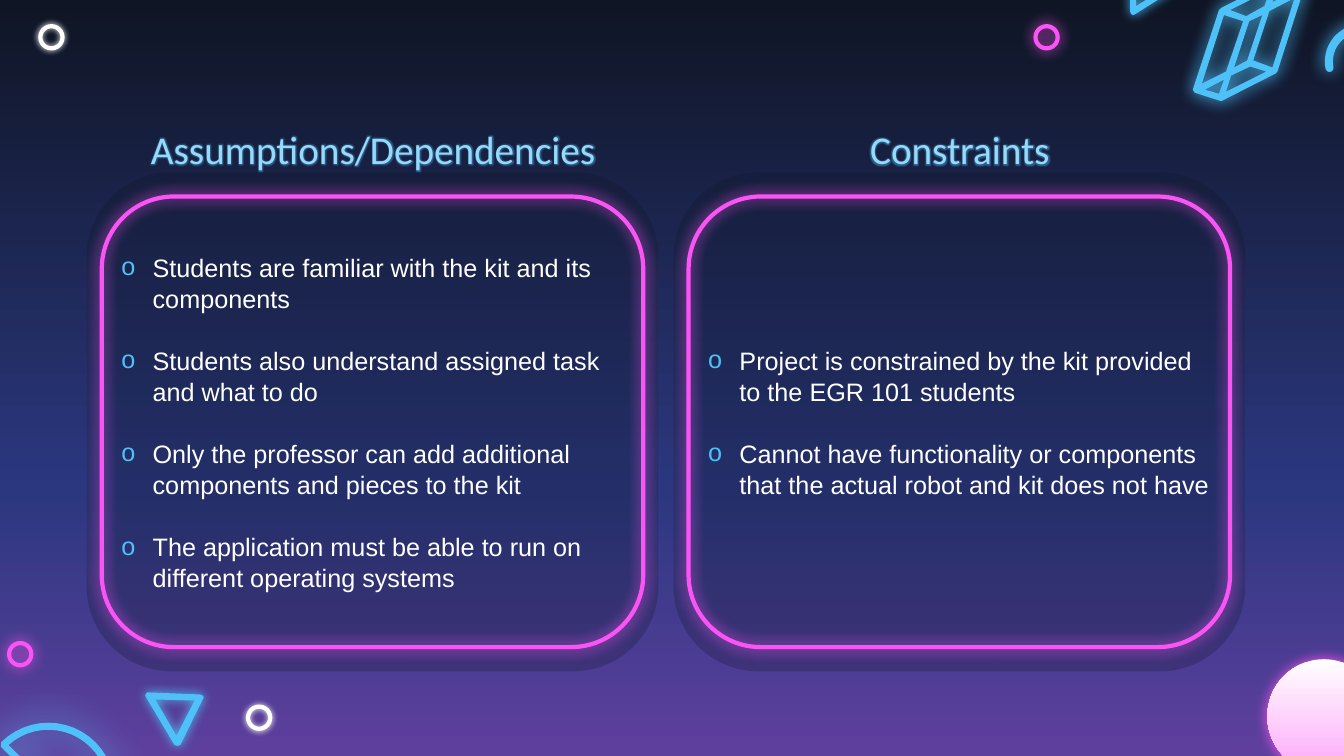
from copy import deepcopy
from math import cos, radians, sin

from lxml import etree
from pptx import Presentation
from pptx.dml.color import RGBColor
from pptx.enum.shapes import MSO_SHAPE
from pptx.enum.text import MSO_ANCHOR, PP_ALIGN
from pptx.oxml.ns import qn
from pptx.util import Inches, Pt

OVAL = MSO_SHAPE.OVAL
ROUNDED = MSO_SHAPE.ROUNDED_RECTANGLE
MIDDLE = MSO_ANCHOR.MIDDLE
CENTER = PP_ALIGN.CENTER

NIGHT, PINK, BLUE, PALE_BLUE, WHITE = "0F1524", "FB54F4", "4FC1F9", "95DAFB", "FFFFFF"

PANELS = [
    ("Assumptions/Dependencies", [
        "Students are familiar with the kit and its components",
        "Students also understand assigned task and what to do",
        "Only the professor can add additional components and pieces to the kit",
        "The application must be able to run on different operating systems",
    ]),
    ("Constraints", [
        "Project is constrained by the kit provided to the EGR 101 students",
        "Cannot have functionality or components that the actual robot and kit does not have",
    ]),
]
PANEL_LEFT, PANEL_PITCH = 0.86, 5.82

# Each icon is a list of contours: the outline first, then its holes.
PRISM = [
    [(12.64, -0.19), (12.11, 0.08), (12.09, 0.1), (11.83, 0.89), (11.85, 0.92),
     (12.1, 1), (12.12, 1), (12.65, 0.73), (12.67, 0.71), (12.92, -0.07),
     (12.92, -0.09), (12.9, -0.11), (12.66, -0.19)],
    [(12.81, -0.07), (12.62, 0.02), (12.67, -0.12)],
    [(12.6, -0.1), (12.54, 0.06), (12.36, 0.16), (12.2, 0.1)],
    [(12.84, -0.02), (12.62, 0.67), (12.43, 0.6), (12.59, 0.11)],
    [(12.52, 0.15), (12.37, 0.6), (12.24, 0.67), (12.39, 0.21)],
    [(12.33, 0.21), (12.16, 0.71), (11.92, 0.83), (12.14, 0.15)],
    [(12.56, 0.71), (12.16, 0.91), (12.21, 0.75), (12.4, 0.66)],
    [(12.14, 0.79), (12.09, 0.93), (11.95, 0.89)],
]
TOP_TRIANGLE = [
    [(11.24, -0.41), (11.22, -0.4), (11.21, -0.38), (11.21, 0.12), (11.22, 0.14),
     (11.24, 0.15), (11.26, 0.14), (11.64, -0.1), (11.65, -0.13), (11.64, -0.16),
     (11.26, -0.4)],
    [(11.27, -0.32), (11.57, -0.13), (11.27, 0.06)],
]
BOTTOM_TRIANGLE = [
    [(1.48, 6.87), (1.46, 6.87), (1.45, 6.88), (1.44, 6.9), (1.45, 6.92),
     (1.73, 7.39), (1.76, 7.4), (1.79, 7.39), (2.01, 6.94), (2.02, 6.92),
     (2.01, 6.9), (1.98, 6.89)],
    [(1.54, 6.94), (1.93, 6.95), (1.75, 7.3)],
]


def rgb(color):
    return RGBColor.from_string(color)


def arc(center, radius, start, end, steps=24):
    """Points along a circle; degrees run clockwise from the right."""
    angles = [radians(start + (end - start) * i / steps) for i in range(steps + 1)]
    return [(center[0] + radius * cos(a), center[1] + radius * sin(a)) for a in angles]


def half_disc():
    center = (0.48, 7.83)
    return [arc(center, 0.66, 225, 405) + [(0.9, 8.3), (0.01, 7.41)],
            arc(center, 0.59, 228, 402)]


def curved_stroke():
    center, start, end = (13.51, 0.61), 169, 308
    cap_start = arc(center, 0.33, start, start, 1)[0]
    cap_end = arc(center, 0.33, end, end, 1)[0]
    return [arc(center, 0.37, start, end) + arc(cap_end, 0.04, end, end + 180, 8)
            + arc(center, 0.29, end, start) + arc(cap_start, 0.04, start + 180, start + 360, 8)]


def add_effect(effects, tag, color, alpha=100, **attributes):
    effect = etree.SubElement(effects, qn(tag), **attributes)
    tint = etree.SubElement(effect, qn("a:srgbClr"), val=color)
    etree.SubElement(tint, qn("a:alpha"), val=str(alpha * 1000))


def add_halo(shape, color, blur):
    shape.shadow.inherit = False
    effects = shape._element.spPr.find(qn("a:effectLst"))
    add_effect(effects, "a:outerShdw", color, blurRad=str(Pt(blur)), dist="0",
               algn="ctr", rotWithShape="0")


def fill_gradient(fill, stops):
    """Vertical gradient from (position, color) pairs, top to bottom."""
    fill.gradient()
    fill.gradient_angle = 270
    last = fill.gradient_stops[1]._gs
    for _ in stops[2:]:
        last.addnext(deepcopy(last))
    for stop, (position, color) in zip(fill.gradient_stops, stops):
        stop.position = position
        stop.color.rgb = rgb(color)


def add_outlined(shapes, kind, box, color, blur):
    shape = shapes.add_shape(kind, *map(Inches, box))
    shape.fill.background()
    shape.line.color.rgb = rgb(color)
    shape.line.width = Pt(3)
    add_halo(shape, color, blur)
    return shape


def add_icon(shapes, contours, blur):
    points = [[(Inches(x), Inches(y)) for x, y in contour] for contour in contours]
    builder = shapes.build_freeform(*points[0][0])
    builder.add_line_segments(points[0][1:])
    for hole in points[1:]:
        builder.move_to(*hole[0])
        builder.add_line_segments(hole[1:])
    icon = builder.convert_to_shape()
    icon.fill.solid()
    icon.fill.fore_color.rgb = rgb(BLUE)
    icon.line.fill.background()
    add_halo(icon, BLUE, blur)


def add_bullet(paragraph):
    properties = paragraph._p.get_or_add_pPr()
    properties.set("marL", str(Inches(0.31)))
    properties.set("indent", str(-Inches(0.31)))
    bullet_color = etree.SubElement(properties, qn("a:buClr"))
    etree.SubElement(bullet_color, qn("a:srgbClr"), val=BLUE)
    etree.SubElement(properties, qn("a:buFont"), typeface="Arial")
    etree.SubElement(properties, qn("a:buChar"), char="o")


def format_run(run, font_name, size, color):
    run.font.name = font_name
    run.font.size = Pt(size)
    run.font.color.rgb = rgb(color)


def add_panel(shapes, left, items):
    group = shapes.add_group_shape()
    panel = group.shapes.add_shape(ROUNDED, Inches(left), Inches(1.71), Inches(5.67), Inches(4.95))
    panel.adjustments[0] = 0.17
    panel.shadow.inherit = False
    panel.fill.solid()
    panel.fill.fore_color.rgb = rgb(NIGHT)
    tint = panel._element.spPr.find(qn("a:solidFill"))[0]
    etree.SubElement(tint, qn("a:alpha"), val="24000")
    panel.line.fill.background()

    frame = panel.text_frame
    frame.word_wrap = True
    frame.vertical_anchor = MIDDLE
    frame.margin_left = frame.margin_top = frame.margin_bottom = Inches(0.1)
    frame.margin_right = Inches(0.08)
    frame.text = "\n".join(items)
    for index, paragraph in enumerate(frame.paragraphs):
        add_bullet(paragraph)
        paragraph.alignment = PP_ALIGN.LEFT
        paragraph.line_spacing = 1.04
        if index:
            paragraph.space_before = Pt(21.6)
        format_run(paragraph.runs[0], "Arial", 18, WHITE)

    border = add_outlined(group.shapes, ROUNDED, (left + 0.15, 1.95, 5.37, 4.47), PINK, 11.2)
    border.adjustments[0] = 0.16


def add_heading(shapes, left, text):
    heading = shapes.add_textbox(Inches(left), Inches(1.11), Inches(5.8), Inches(0.84))
    frame = heading.text_frame
    frame.word_wrap = True
    frame.margin_left = frame.margin_right = frame.margin_top = frame.margin_bottom = Inches(0.13)
    frame.text = text
    frame.paragraphs[0].alignment = CENTER
    run = frame.paragraphs[0].runs[0]
    format_run(run, "Calibri", 28, PALE_BLUE)
    effects = etree.Element(qn("a:effectLst"))
    add_effect(effects, "a:glow", BLUE, 40, rad=str(Pt(4)))
    run._r.get_or_add_rPr().find(qn("a:solidFill")).addnext(effects)


def main():
    deck = Presentation()
    deck.slide_width, deck.slide_height = Inches(13.33), Inches(7.5)
    slide = deck.slides.add_slide(deck.slide_layouts[6])
    fill_gradient(slide.background.fill, [(0, NIGHT), (0.65, "2B3880"), (1, "5F3F9E")])
    shapes = slide.shapes

    for contours, blur in [(PRISM, 12.4), (TOP_TRIANGLE, 7.9), (curved_stroke(), 12.4),
                           (half_disc(), 27), (BOTTOM_TRIANGLE, 7.9)]:
        add_icon(shapes, contours, blur)
    for left, top, color, blur in [(10.27, 0.26, PINK, 10.1), (0.4, 0.26, WHITE, 4.5),
                                   (2.46, 7.01, WHITE, 4.5), (0.09, 6.38, PINK, 10.1)]:
        add_outlined(shapes, OVAL, (left, top, 0.22, 0.22), color, blur)

    for column, (_, items) in enumerate(PANELS):
        add_panel(shapes, PANEL_LEFT + column * PANEL_PITCH, items)
    for column, (title, _) in enumerate(PANELS):
        add_heading(shapes, PANEL_LEFT - 0.06 + column * PANEL_PITCH, title)

    moon = shapes.add_shape(OVAL, Inches(12.57), Inches(6.54), Inches(1.12), Inches(1.13))
    fill_gradient(moon.fill, [(0, WHITE), (1, "FDA7F9")])
    moon.line.fill.background()
    add_halo(moon, PINK, 10.1)
    deck.save("out.pptx")


if __name__ == "__main__":
    main()
